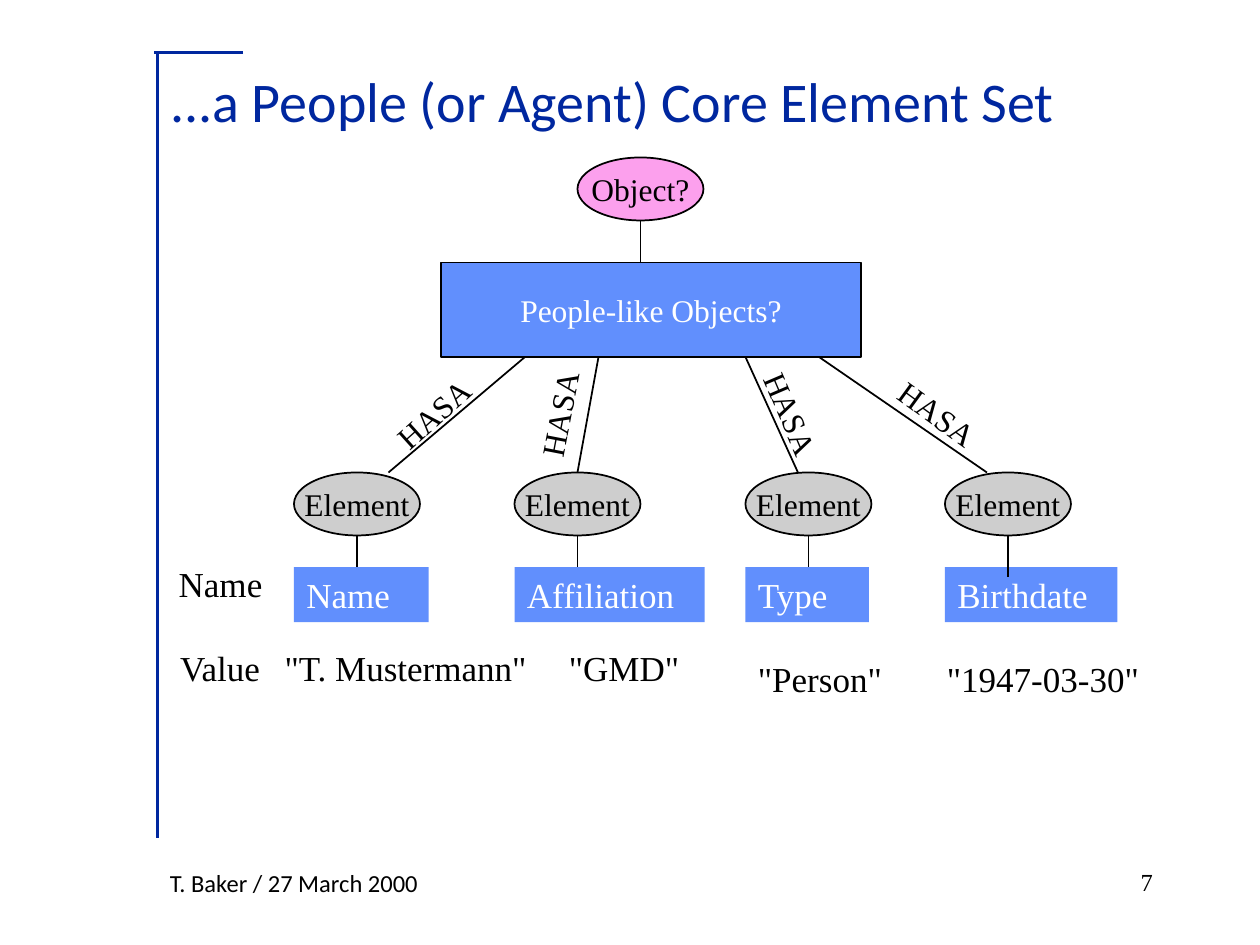
"""Build the slide on a core element set for people or agents."""
from lxml.etree import SubElement
from pptx import Presentation
from pptx.dml.color import RGBColor as RGB
from pptx.enum.shapes import MSO_CONNECTOR as LINK, MSO_SHAPE as FORM
from pptx.enum.text import MSO_ANCHOR as ANCHOR, MSO_AUTO_SIZE as FIT, PP_ALIGN as ALIGN
from pptx.oxml.ns import qn
from pptx.util import Pt

NAVY = RGB(0x00, 0x27, 0x9F)
BLUE = RGB(0x61, 0x8F, 0xFD)
PINK = RGB(0xFC, 0xA0, 0xED)
GRAY = RGB(0xCE, 0xCE, 0xCE)
BLACK = RGB(0, 0, 0)
WHITE = RGB(255, 255, 255)
SANS, SERIF = "Calibri", "Times New Roman"

TITLE = "...a People (or Agent) Core Element Set"
LABELS = [("Name", 95, 318), ("Value", 95.8, 366)]
# name, left, width, stem end; value, left, top, width; spoke foot, head; tag left, turn
ITEMS = [
    {"name": ("Name", 168, 77), "stem": 324,
     "value": ('"T. Mustermann"', 155.5, 366, 154), "spoke": (222, 300), "tag": (216, 318.1)},
    {"name": ("Affiliation", 294, 108.7), "stem": 324,
     "value": ('"GMD"', 318, 366, 77), "spoke": (330, 342), "tag": (288, 280.9)},
    {"name": ("Type", 426, 70.5), "stem": 324,
     "value": ('"Person"', 426, 372, 85), "spoke": (456, 426), "tag": (420.3, 66.9)},
    {"name": ("Birthdate", 540, 98.6), "stem": 330,
     "value": ('"1947-03-30"', 534, 372, 124), "spoke": (564, 468), "tag": (504, 36.1)},
]
OVAL_W, OVAL_H = 72, 36
BOX_TOP, BOX_H = 150, 54
OVAL_TOP, NAME_TOP, ROW_H = 270, 324, 31.5

deck = Presentation()
deck.slide_width, deck.slide_height = Pt(720), Pt(540)
slide = deck.slides.add_slide(deck.slide_layouts[5])
shapes = slide.shapes


def write(shape, text, size, color=BLACK, font=SERIF, align=ALIGN.LEFT,
          anchor=ANCHOR.TOP, wrap=False):
    frame = shape.text_frame
    frame.word_wrap, frame.auto_size = wrap, FIT.NONE
    frame.vertical_anchor = anchor
    para = frame.paragraphs[0]
    para.alignment = align
    run = para.add_run()
    run.text = text
    run.font.size, run.font.name = Pt(size), font
    run.font.color.rgb = color


def label(text, x, y, w, h, size=20, **look):
    box = shapes.add_textbox(Pt(x), Pt(y), Pt(w), Pt(h))
    write(box, text, size, **look)
    return box


def block(form, x, y, w, h, fill, edge=True):
    shape = shapes.add_shape(form, Pt(x), Pt(y), Pt(w), Pt(h))
    shape.shadow.inherit = False
    shape.fill.solid()
    shape.fill.fore_color.rgb = fill
    if edge:
        shape.line.color.rgb, shape.line.width = BLACK, Pt(1)
    else:
        shape.line.fill.background()
    return shape


def node(form, text, x, y, w, h, fill, color=BLACK):
    write(block(form, x, y, w, h, fill), text, 18, color,
          align=ALIGN.CENTER, anchor=ANCHOR.MIDDLE)


def rule(x1, y1, x2, y2, color=BLACK, width=1):
    line = shapes.add_connector(LINK.STRAIGHT, Pt(x1), Pt(y1), Pt(x2), Pt(y2))
    line.line.color.rgb, line.line.width = color, Pt(width)
    SubElement(line._element.spPr, qn("a:effectLst"))


rule(139, 30, 88, 30, NAVY, 2)
rule(90, 31, 90, 479, NAVY, 2)
label("T. Baker / 27 March 2000", 90, 492.5, 186, 24, 14, font=SANS, wrap=True)

head = shapes.title
head.left, head.top, head.width, head.height = Pt(90), Pt(12), Pt(582), Pt(90)
write(head, TITLE, 32, NAVY, SANS, anchor=ANCHOR.MIDDLE, wrap=True)

node(FORM.OVAL, "Object?", 330, 90, OVAL_W, OVAL_H, PINK)
node(FORM.RECTANGLE, "People-like Objects?", 252, BOX_TOP, 240, BOX_H, BLUE, WHITE)
rule(366, 90 + OVAL_H, 366, BOX_TOP)

for text, x, y in LABELS:
    label(text, x, y, 62, ROW_H)

for item in ITEMS:
    name, x, wide = item["name"]
    node(FORM.OVAL, "Element", x, OVAL_TOP, OVAL_W, OVAL_H, GRAY)
    write(block(FORM.RECTANGLE, x, NAME_TOP, wide, ROW_H, BLUE, False), name, 20, WHITE)
    mid = x + OVAL_W / 2
    rule(mid, OVAL_TOP + OVAL_H, mid, item["stem"])
    foot, top = item["spoke"]
    rule(foot, OVAL_TOP, top, BOX_TOP + BOX_H)
    text, left, y, width = item["value"]
    label(text, left, y, width, ROW_H)
    left, turn = item["tag"]
    label("HASA", left, 222, 63.4, 29, 18).rotation = turn

label("7", 516, 492, 150, 36, 14, align=ALIGN.RIGHT, wrap=True)

deck.save("out.pptx")
